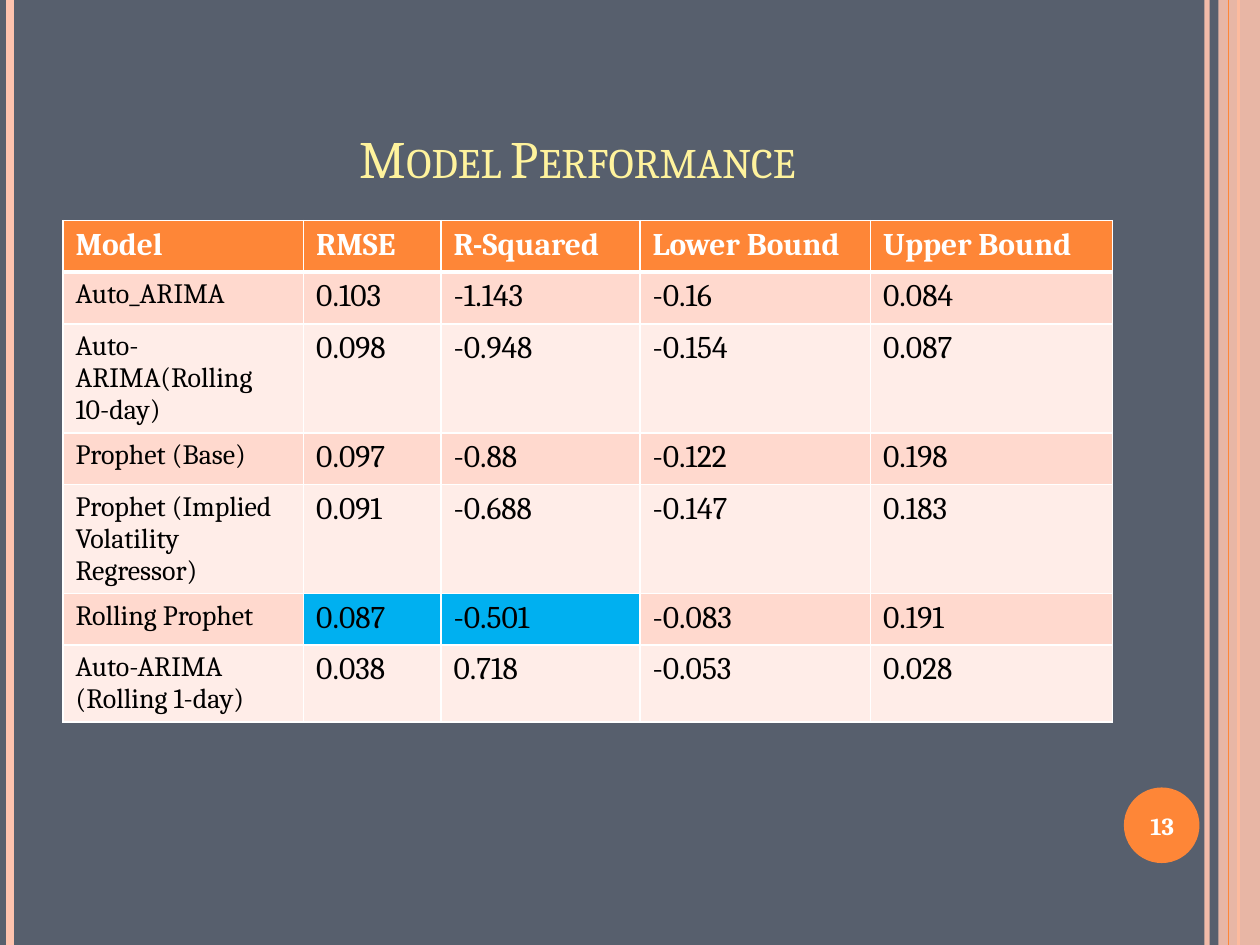
from lxml import etree
from pptx import Presentation
from pptx import util as u
from pptx.dml import color as dml
from pptx.enum import shapes, text
from pptx.oxml import ns

FONT = "Cambria"
ORANGE, PEACH, WHITE, BLUE = "FE8637", "FEC3AE", "FFFFFF", "00B0F0"
BANDS = ["FFEDE8", "FFD9CE"]
COLS = [1.91, 1.09, 1.58, 1.83, 1.92]
ROWS = [
    ["Model", "RMSE", "R-Squared", "Lower Bound", "Upper Bound"],
    ["Auto_ARIMA", "0.103", "-1.143", "-0.16", "0.084"],
    ["Auto-ARIMA(Rolling\n10-day)", "0.098", "-0.948", "-0.154", "0.087"],
    ["Prophet (Base)", "0.097", "-0.88", "-0.122", "0.198"],
    ["Prophet (Implied Volatility Regressor)", "0.091", "-0.688", "-0.147", "0.183"],
    ["Rolling Prophet", "0.087", "-0.501", "-0.083", "0.191"],
    ["Auto-ARIMA (Rolling 1-day)", "0.038", "0.718", "-0.053", "0.028"],
]
MARKED = {(5, 1), (5, 2)}


def rgb(code):
    """Turn a hex string into a colour."""
    return dml.RGBColor.from_string(code)


def paint(fill, code):
    """Make a fill solid in one colour."""
    fill.solid()
    fill.fore_color.rgb = rgb(code)


def fade(part, share):
    """Set the opacity of a part's first solid colour."""
    tint = next(part.iter(ns.qn("a:srgbClr")))
    etree.SubElement(tint, ns.qn("a:alpha")).set("val", str(share * 1000))


def style(par, size, code, bold=False, align=None):
    """Format a whole paragraph."""
    font = par.font
    font.name, font.size, font.bold = FONT, u.Pt(size), bold
    font.color.rgb = rgb(code)
    par.alignment = align


def place(box):
    """Turn a box in inches into lengths."""
    return [u.Inches(n) for n in box]


def solid(slide, kind, box, code):
    """Add a plain filled shape."""
    shape = slide.shapes.add_shape(kind, *place(box))
    shape.shadow.inherit = False
    paint(shape.fill, code)
    shape.line.fill.background()
    return shape


def stripe(slide, left, high, code, width):
    """Add a line down the full height of the slide."""
    line = slide.shapes.add_connector(
        shapes.MSO_CONNECTOR.STRAIGHT, *place([left, 0, left, high]))
    line.line.color.rgb = rgb(code)
    line.line.width = u.Pt(width)
    etree.SubElement(line._element.spPr, ns.qn("a:effectLst"))
    return line


def frame(slide, wide, high):
    """Draw the stripes along both edges of the slide."""
    fade(stripe(slide, wide - 0.42, high, PEACH, 3)._element, 93)
    stripe(slide, 0.08, high, PEACH, 4.5)
    stripe(slide, wide - 0.17, high, ORANGE, 1.5)
    band = solid(slide, shapes.MSO_SHAPE.RECTANGLE, [wide - 0.33, 0, 0.33, high], PEACH)
    fade(band._element, 87)
    stripe(slide, wide - 0.25, high, ORANGE, 0.75)


def badge(slide, box, number):
    """Draw the page number on a disc."""
    left, top, wide, high = box
    solid(slide, shapes.MSO_SHAPE.OVAL, box, ORANGE)
    label = slide.shapes.add_textbox(*place([left - 0.03, top + 0.02, wide + 0.07, high - 0.03]))
    body = label.text_frame
    body.word_wrap = True
    body.vertical_anchor = text.MSO_ANCHOR.MIDDLE
    body.text = number
    style(body.paragraphs[0], 14, WHITE, True, text.PP_ALIGN.CENTER)


def head(slide, box, words):
    """Fill the title in small capitals."""
    title = slide.shapes.title
    title.left, title.top, title.width, title.height = place(box)
    body = title.text_frame
    body.text = words
    body.auto_size = text.MSO_AUTO_SIZE.NONE
    body.vertical_anchor = text.MSO_ANCHOR.BOTTOM
    par = body.paragraphs[0]
    style(par, 30, "FFF39D", align=text.PP_ALIGN.CENTER)
    par.font._element.set("cap", "small")


def border(cell, foot):
    """Draw white borders, with the bottom one in its own width."""
    props = cell._tc.get_or_add_tcPr()
    for spot, (side, width) in enumerate([("L", 1), ("R", 1), ("T", 1), ("B", foot)]):
        edge = etree.Element(ns.qn("a:ln" + side), w=str(u.Pt(width)))
        fill = etree.SubElement(edge, ns.qn("a:solidFill"))
        etree.SubElement(fill, ns.qn("a:srgbClr")).set("val", WHITE)
        props.insert(spot, edge)


def grid(slide, box):
    """Build the table of model scores."""
    table = slide.shapes.add_table(len(ROWS), len(COLS), *place(box)).table
    for col, wide in zip(table.columns, COLS):
        col.width = u.Inches(wide)
    for r, row in enumerate(ROWS):
        table.rows[r].height = u.Inches(0.41)
        for c, words in enumerate(row):
            cell = table.cell(r, c)
            cell.text = words
            top = r == 0
            back = ORANGE if top else BLUE if (r, c) in MARKED else BANDS[r % 2]
            paint(cell.fill, back)
            border(cell, 3 if top else 1)
            for par in cell.text_frame.paragraphs:
                style(par, 16 if c == 0 and not top else 18, WHITE if top else "000000", top)


def main():
    """Build the slide and save it."""
    deck = Presentation()
    wide, high = 10, 7.5
    deck.slide_width, deck.slide_height = place([wide, high])
    slide = deck.slides.add_slide(deck.slide_layouts[5])
    paint(slide.background.fill, "575F6D")
    frame(slide, wide, high)
    head(slide, [0.5, 0.3, 8.17, 1.25], "Model Performance")
    grid(slide, [0.5, 1.75, sum(COLS), 0.41 * len(ROWS)])
    badge(slide, [8.92, 6.25, 0.6, 0.6], "13")
    deck.save("out.pptx")


if __name__ == "__main__":
    main()
